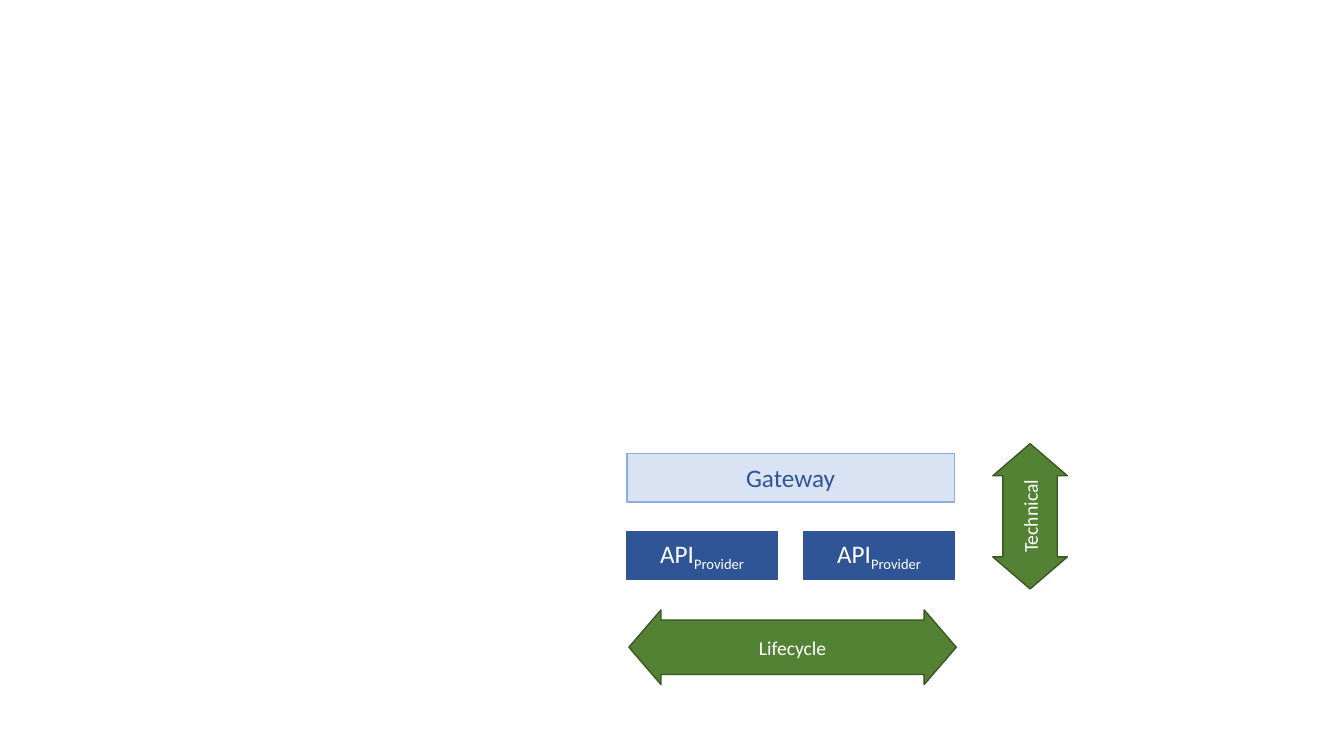
from pptx import Presentation
from pptx.dml.color import RGBColor as RGB
from pptx.enum.shapes import MSO_SHAPE as Kind
from pptx.enum.text import MSO_ANCHOR as Anchor, PP_ALIGN as Align
from pptx.util import Cm, Pt

COLORS = {
    "api": "2F5597", "api edge": "325491",
    "gate": "DAE3F3", "gate edge": "8FAADC",
    "arrow": "548235", "arrow edge": "385723",
    "white": "FFFFFF",
}
GATE = "Gateway"
APIS = [("API", "Provider"), ("API", "Provider")]
# label, left, top, width, rotation
ARROWS = [
    ("Technical", 24.13, 12.07, 3.66, 270),
    ("Lifecycle", 15.85, 15.37, 8.25, 0),
]

LEFT, TOP, WIDTH = 15.8, 11.43, 8.25
BOX_H, ROW = 1.22, 1.96
GAP = 0.67
ARROW_H = 1.88


def color(name):
    return RGB.from_string(COLORS[name])


def add_part(slide, kind, spot, style, ink, size, text, sub=""):
    """Add a filled shape with a centred label and an optional subscript."""
    part = slide.shapes.add_shape(kind, *map(Cm, spot))
    part.shadow.inherit = False
    part.fill.solid()
    part.fill.fore_color.rgb = color(style)
    part.line.color.rgb = color(style + " edge")
    part.line.width = Pt(1)
    frame = part.text_frame
    frame.word_wrap = True
    frame.vertical_anchor = Anchor.MIDDLE
    para = frame.paragraphs[0]
    para.alignment = Align.CENTER
    for word, base in ((text, 0), (sub, -25000)):
        if not word:
            continue
        run = para.add_run()
        run.text = word
        run.font.name = "Calibri"
        run.font.size = Pt(size)
        run.font.color.rgb = color(ink)
        if base:
            run.font._element.set("baseline", str(base))
    return part


def main():
    deck = Presentation()
    deck.slide_width, deck.slide_height = Cm(33.87), Cm(19.05)
    slide = deck.slides.add_slide(deck.slide_layouts[6])

    wide = (WIDTH - GAP * (len(APIS) - 1)) / len(APIS)
    for i, (text, sub) in enumerate(APIS):
        spot = (LEFT + i * (wide + GAP), TOP + ROW, wide, BOX_H)
        add_part(slide, Kind.RECTANGLE, spot, "api", "white", 18, text, sub)

    spot = (LEFT, TOP, WIDTH, BOX_H)
    add_part(slide, Kind.RECTANGLE, spot, "gate", "api", 18, GATE)

    for text, left, top, width, turn in ARROWS:
        spot = (left, top, width, ARROW_H)
        arrow = add_part(slide, Kind.LEFT_RIGHT_ARROW, spot,
                         "arrow", "white", 14, text)
        arrow.adjustments[0] = 0.73
        arrow.adjustments[1] = 0.43
        arrow.rotation = turn

    deck.save("out.pptx")


if __name__ == "__main__":
    main()
